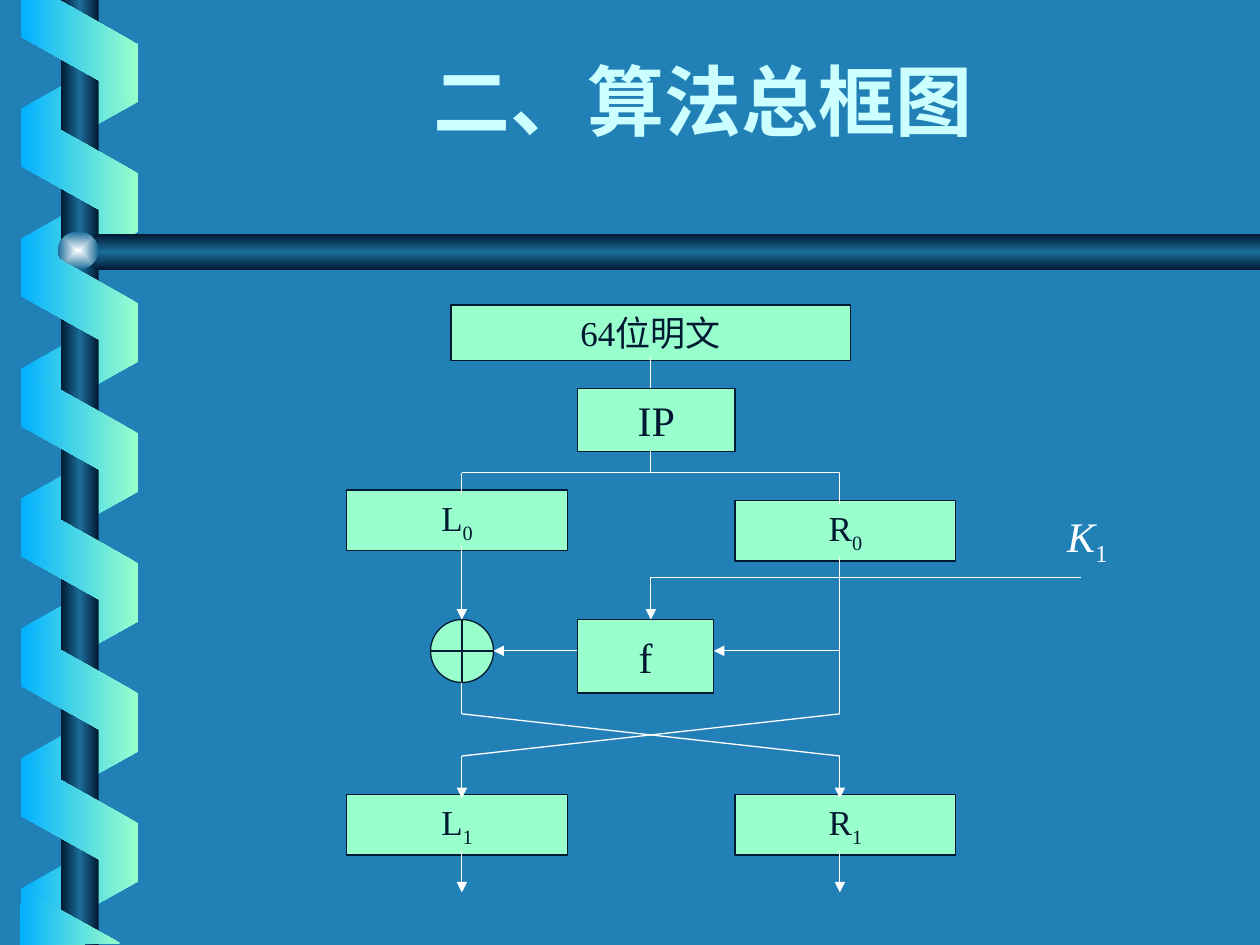
import pptx
import pptx.util
import pptx.dml.color
import pptx.enum.shapes
import pptx.enum.text
import pptx.oxml
import pptx.oxml.ns

Cm = pptx.util.Cm
Pt = pptx.util.Pt
RGB = pptx.dml.color.RGBColor
MSO = pptx.enum.shapes.MSO_SHAPE
ANCHOR = pptx.enum.text.MSO_ANCHOR
AUTO = pptx.enum.text.MSO_AUTO_SIZE
CENTER = pptx.enum.text.PP_ALIGN.CENTER
qn = pptx.oxml.ns.qn
NS = pptx.oxml.ns.nsdecls("a")

BLUE = RGB(0x21, 0x81, 0xB7)
NAVY = RGB(0x00, 0x19, 0x32)
STEEL = RGB(0x1C, 0x6D, 0x9A)
SKY = RGB(0x01, 0xB0, 0xFF)
MINT = RGB(0x99, 0xFF, 0xCC)
ICE = RGB(0xCC, 0xFF, 0xFF)
PEARL = RGB(0xFE, 0xFF, 0xFF)
WHITE = RGB(0xFF, 0xFF, 0xFF)
FONT = "Times New Roman"
LINEAR = '<a:lin ang="{}" scaled="0"/>'
RECT = '<a:path path="rect"><a:fillToRect l="50000" t="50000" r="50000" b="50000"/></a:path>'


def paint(sp, colors, direction):
    sp.shadow.inherit = False
    sp.line.fill.background()
    sp.fill.solid()
    step = 100000 // (len(colors) - 1)
    stops = "".join(f'<a:gs pos="{i * step}"><a:srgbClr val="{c}"/></a:gs>'
                    for i, c in enumerate(colors))
    grad = pptx.oxml.parse_xml(
        f'<a:gradFill {NS} rotWithShape="0"><a:gsLst>{stops}</a:gsLst>{direction}</a:gradFill>')
    spPr = sp._element.spPr
    spPr.replace(spPr.find(qn("a:solidFill")), grad)


def write(sp, runs, color, size, space, frame):
    tf = sp.text_frame
    for name, value in frame.items():
        setattr(tf, name, value)
    p = tf.paragraphs[0]
    p.alignment = CENTER
    if space:
        p.space_before = Pt(space)
    for text, extra in runs:
        r = p.add_run()
        r.text = text
        fmt = {"name": FONT, "size": Pt(size)} | extra
        baseline = fmt.pop("baseline", None)
        for name, value in fmt.items():
            setattr(r.font, name, value)
        r.font.color.rgb = color
        if baseline:
            r.font._element.set("baseline", baseline)


prs = pptx.Presentation()
prs.slide_width, prs.slide_height = Cm(25.4), Cm(19.05)
s = prs.slides.add_slide(prs.slide_layouts[5])
s.background.fill.solid()
s.background.fill.fore_color.rgb = BLUE

across, down = LINEAR.format(10800000), LINEAR.format(5400000)
pitch = 2.62
coils = {
    "back": {"count": 7, "top": 0.94, "rot": 90, "colors": [SKY, MINT]},
    "front": {"count": 6, "top": 2.24, "rot": 270, "colors": [MINT, SKY]},
}
for side, coil in coils.items():
    if side == "front":
        sp = s.shapes.add_shape(MSO.RECTANGLE, Cm(1.23), 0, Cm(0.76), Cm(19.05))
        paint(sp, [NAVY, STEEL, NAVY], across)
        fb = s.shapes.build_freeform(Cm(25.4), Cm(4.72))
        fb.add_line_segments([(Cm(x), Cm(y)) for x, y in
                              [(1.93, 4.72), (1.52, 5.08), (1.93, 5.44), (25.4, 5.44)]])
        paint(fb.convert_to_shape(), [NAVY, STEEL, NAVY], down)
        sp = s.shapes.add_shape(MSO.OVAL, Cm(1.17), Cm(4.67), Cm(0.81), Cm(0.76))
        paint(sp, [PEARL, STEEL], RECT)
    for i in range(coil["count"]):
        sp = s.shapes.add_shape(MSO.PARALLELOGRAM, Cm(0.36), Cm(coil["top"] + i * pitch),
                                Cm(2.49), Cm(2.36))
        sp.adjustments[0] = 0.56
        sp.rotation = coil["rot"]
        if side == "back":
            sp._element.spPr.xfrm.set("flipH", "1")
        paint(sp, coil["colors"], across)

for outline in [
    [(0.43, 0), (0.43, 0.74), (2.77, 2.06), (2.77, 0.89), (1.19, 0)],
    [(2.44, 19.02), (0.43, 17.91), (0.41, 19.05)],
]:
    points = [(Cm(x), Cm(y)) for x, y in outline]
    fb = s.shapes.build_freeform(*points[0])
    fb.add_line_segments(points[1:])
    paint(fb.convert_to_shape(), [MINT, SKY], across)

title = s.shapes.title
for name, value in {"left": 3.38, "top": 1.17, "width": 21.59, "height": 1.9}.items():
    setattr(title, name, Cm(value))
write(title, [("二、算法总框图", {"bold": True})], ICE, 44, 0,
      {"vertical_anchor": ANCHOR.BOTTOM, "word_wrap": True, "auto_size": AUTO.NONE})

grow = {"vertical_anchor": ANCHOR.TOP, "word_wrap": True, "auto_size": AUTO.SHAPE_TO_FIT_TEXT}
fixed = {"vertical_anchor": ANCHOR.MIDDLE, "word_wrap": False, "auto_size": AUTO.NONE}
sub = {"baseline": "-25000"}
boxes = [
    (MSO.RECTANGLE, 9.09, 6.15, 8.05, 1.12, [("64位明文", {})], 20, 12.5, grow),
    (MSO.RECTANGLE, 11.64, 7.83, 3.18, 1.27, [("IP", {})], 24, 0, fixed),
    (MSO.RECTANGLE, 11.64, 12.49, 2.75, 1.48, [("f", {})], 24, 0, fixed),
    (MSO.FLOWCHART_OR, 8.68, 12.49, 1.27, 1.27, [], 20, 0, fixed),
]
for letter, index, x, y in [("L", "0", 6.99, 9.88), ("R", "0", 14.82, 10.09),
                            ("L", "1", 6.99, 16.02), ("R", "1", 14.82, 16.02)]:
    boxes.append((MSO.RECTANGLE, x, y, 4.45, 1.22,
                  [(letter, {}), (index, sub)], 20, 12.5, grow))
for kind, x, y, w, h, runs, size, space, frame in boxes:
    sp = s.shapes.add_shape(kind, Cm(x), Cm(y), Cm(w), Cm(h))
    sp.shadow.inherit = False
    sp.fill.solid()
    sp.fill.fore_color.rgb = MINT
    sp.line.color.rgb = NAVY
    sp.line.width = Pt(0.75)
    write(sp, runs, NAVY, size, space, frame)

left, mid, right = 9.31, 13.12, 16.93
lines = [
    (mid, 7.2, mid, 7.83, False),
    (mid, 9.1, mid, 9.53, False),
    (left, 9.53, right, 9.53, False),
    (left, 9.53, left, 9.95, False),
    (right, 9.53, right, 10.16, False),
    (mid, 11.64, 21.8, 11.64, False),
    (mid, 11.64, mid, 12.49, True),
    (left, 11.01, left, 12.49, True),
    (11.64, 13.12, 9.95, 13.12, True),
    (right, 13.12, 14.39, 13.12, True),
    (right, 11.22, right, 14.39, False),
    (left, 13.76, left, 14.39, False),
    (left, 14.39, right, 15.24, False),
    (right, 14.39, left, 15.24, False),
]
for x in (left, right):
    lines += [(x, 15.24, x, 16.09, True), (x, 17.15, x, 17.99, True)]
for x1, y1, x2, y2, arrow in lines:
    c = s.shapes.add_connector(pptx.enum.shapes.MSO_CONNECTOR.STRAIGHT,
                               Cm(x1), Cm(y1), Cm(x2), Cm(y2))
    c.line.color.rgb = WHITE
    c.line.width = Pt(0.75)
    if arrow:
        c.line._get_or_add_ln().append(
            pptx.oxml.parse_xml(f'<a:tailEnd {NS} type="triangle"/>'))
    c._element.spPr.append(pptx.oxml.parse_xml(f"<a:effectLst {NS}/>"))

key = s.shapes.add_textbox(Cm(20.75), Cm(10.16), Cm(2.34), Cm(1.42))
write(key, [("K", {"italic": True}), ("1", sub)], WHITE, 24, 15, grow)

prs.save("out.pptx")
